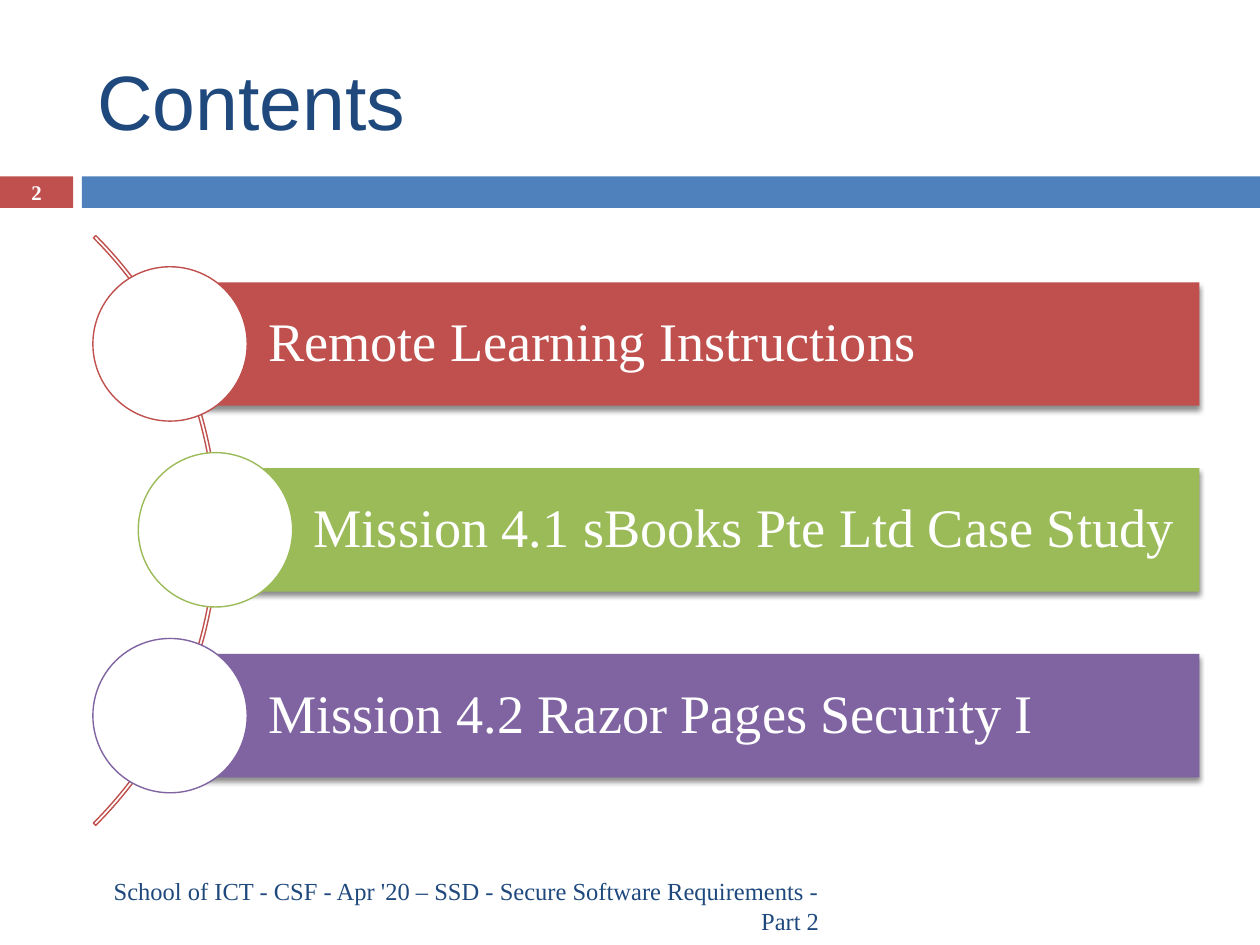
import lxml.etree
import pptx
import pptx.dml.color
import pptx.enum.shapes
import pptx.enum.text
import pptx.oxml.ns
import pptx.util

THEME = {
    "red": "C0504D", "blue": "4F81BD", "green": "9BBB59", "purple": "8064A2",
    "navy": "1F497D", "white": "FFFFFF", "black": "000000",
    "heading": "Arial", "body": "Times New Roman",
    "title": 44, "item": 31, "footer": 14, "number": 11.9, "outline": 0.79,
}
SHAPE = pptx.enum.shapes.MSO_SHAPE
ALIGN = pptx.enum.text.PP_ALIGN

deck = pptx.Presentation()
deck.slide_width = pptx.util.Inches(10)
deck.slide_height = pptx.util.Inches(7.5)
column = deck.slide_width / 100
row = deck.slide_height / 75
page = deck.slides.add_slide(deck.slide_layouts[5])


def add_figure(kind, grid, fill=None, line=None):
    left, top, width, height = grid
    figure = page.shapes.add_shape(
        kind, int(left * column), int(top * row), int(width * column), int(height * row))
    figure.shadow.inherit = False
    for part, colour in ((figure.fill, fill), (figure.line.fill, line)):
        if colour:
            part.solid()
            part.fore_color.rgb = pptx.dml.color.RGBColor.from_string(THEME[colour])
        else:
            part.background()
    if line:
        figure.line.width = pptx.util.Pt(THEME["outline"])
    return figure


def write(box, text, size, face, colour, align=ALIGN.LEFT, bold=False, **frame_format):
    frame = box.text_frame
    frame_format = {
        "word_wrap": True,
        "auto_size": pptx.enum.text.MSO_AUTO_SIZE.NONE,
        "vertical_anchor": pptx.enum.text.MSO_ANCHOR.MIDDLE,
        **frame_format,
    }
    for name, value in frame_format.items():
        setattr(frame, name, value)
    para = frame.paragraphs[0]
    para.alignment = align
    span = para.add_run()
    span.text = text
    font_format = {"name": THEME[face], "size": pptx.util.Pt(THEME[size]), "bold": bold}
    for name, value in font_format.items():
        setattr(span.font, name, value)
    span.font.color.rgb = pptx.dml.color.RGBColor.from_string(THEME[colour])
    return para


number_box = add_figure(SHAPE.RECTANGLE, (0, 14, 5.8, 2.5), "red")
write(number_box, "2", "number", "body", "white", ALIGN.CENTER, True,
      margin_top=0, margin_bottom=0)
add_figure(SHAPE.RECTANGLE, (6.5, 14, 93.5, 2.5), "blue")

title = page.shapes.title
title_format = {"left": 6.7 * column, "top": 2.5 * row,
                "width": 89.2 * column, "height": 10.8 * row}
for name, value in title_format.items():
    setattr(title, name, int(value))
write(title, "Contents", "title", "heading", "navy")

arc = add_figure(SHAPE.BLOCK_ARC, (-48.9, 9, 66.2, 66.2), line="red")
for index, value in enumerate((189, 27, 0.004)):
    arc.adjustments[index] = value

items = [
    ("Remote Learning Instructions", "red", 13.5),
    ("Mission 4.1 sBooks Pte Ltd Case Study", "green", 17.1),
    ("Mission 4.2 Razor Pages Security I", "purple", 13.5),
]
first_top, pitch, bar_height, right_edge = 22.4, 14.75, 9.8, 95.2
diameter = bar_height * 1.25
shadow_format = {"blurRad": pptx.util.Pt(3), "dist": pptx.util.Pt(2.4),
                 "dir": 90 * 60000, "rotWithShape": 0}

for index, (text, colour, left) in enumerate(items):
    top = first_top + index * pitch
    bar = add_figure(SHAPE.RECTANGLE, (left, top, right_edge - left, bar_height), colour)
    effects = bar._element.spPr.find(pptx.oxml.ns.qn("a:effectLst"))
    shadow = lxml.etree.SubElement(effects, pptx.oxml.ns.qn("a:outerShdw"))
    for name, value in shadow_format.items():
        shadow.set(name, str(value))
    tint = lxml.etree.SubElement(shadow, pptx.oxml.ns.qn("a:srgbClr"), val=THEME["black"])
    lxml.etree.SubElement(tint, pptx.oxml.ns.qn("a:alpha"), val="45000")
    para = write(bar, text, "item", "body", "white",
                 margin_left=int(7.8 * column), margin_right=int(0.9 * column))
    para.line_spacing = 0.9
    add_figure(SHAPE.OVAL,
               (left - diameter / 2, top + (bar_height - diameter) / 2, diameter, diameter),
               "white", colour)

footer = page.shapes.add_textbox(
    int(6.7 * column), int(69.9 * row), int(59.3 * column), int(4 * row))
write(footer, "School of ICT - CSF - Apr '20 – SSD - Secure Software Requirements - Part 2",
      "footer", "body", "navy", ALIGN.RIGHT)

deck.save("out.pptx")
